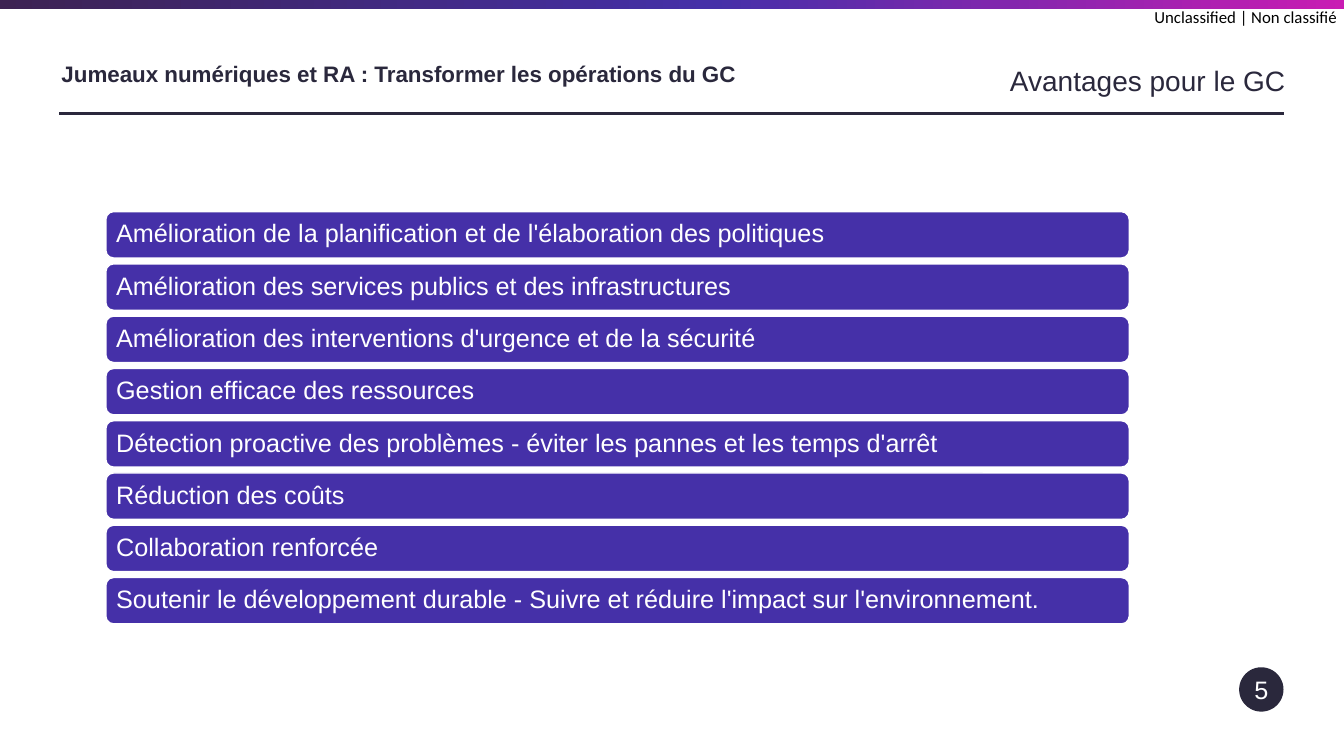
from copy import deepcopy

from lxml import etree
from pptx import Presentation
from pptx.dml.color import RGBColor
from pptx.enum import shapes, text
from pptx.oxml import ns
from pptx.util import Inches, Pt

INK = RGBColor(0x2A, 0x28, 0x3C)
INDIGO = RGBColor(0x45, 0x30, 0xA8)
PLUM = RGBColor(0x3D, 0x22, 0x52)
MAGENTA = RGBColor(0xC9, 0x1C, 0xB3)
WHITE = RGBColor(0xFF, 0xFF, 0xFF)
BLACK = RGBColor(0, 0, 0)

MARKING = "Unclassified | Non classifié"
TITLE = "Jumeaux numériques et RA : Transformer les opérations du GC"
SUBTITLE = "Avantages pour le GC"
PAGE_NUMBER = "5"
BENEFITS = [
    "Amélioration de la planification et de l'élaboration des politiques",
    "Amélioration des services publics et des infrastructures",
    "Amélioration des interventions d'urgence et de la sécurité",
    "Gestion efficace des ressources",
    "Détection proactive des problèmes - éviter les pannes et les temps d'arrêt",
    "Réduction des coûts",
    "Collaboration renforcée",
    "Soutenir le développement durable - Suivre et réduire l'impact sur l'environnement.",
]
BAND_STOPS = [(0, PLUM), (0.53, INDIGO), (1, MAGENTA)]
FIRST_BAR_TOP, LAST_BAR_TOP = 2.1, 5.73
BAR_PITCH = (LAST_BAR_TOP - FIRST_BAR_TOP) / (len(BENEFITS) - 1)


def write(shape, words, size, color, font="Arial", bold=False, spacing=1.0,
          align=text.PP_ALIGN.LEFT, anchor=text.MSO_ANCHOR.TOP, inset=0, wrap=True):
    frame = shape.text_frame
    frame.word_wrap = wrap
    frame.vertical_anchor = anchor
    frame.margin_left = frame.margin_right = Inches(inset)
    frame.margin_top = frame.margin_bottom = 0
    paragraph = frame.paragraphs[0]
    paragraph.alignment = align
    paragraph.line_spacing = spacing
    run = paragraph.add_run()
    run.text = words
    run.font.name = font
    run.font.size = Pt(size)
    run.font.bold = bold
    run.font.color.rgb = color


def add_box(slide, left, top, width, height):
    return slide.shapes.add_textbox(Inches(left), Inches(top), Inches(width), Inches(height))


def add_plain_shape(slide, kind, left, top, width, height, color=None):
    shape = slide.shapes.add_shape(
        kind, Inches(left), Inches(top), Inches(width), Inches(height))
    shape.shadow.inherit = False
    shape.line.fill.background()
    if color is not None:
        shape.fill.solid()
        shape.fill.fore_color.rgb = color
    return shape


def add_band(slide):
    band = add_plain_shape(slide, shapes.MSO_SHAPE.RECTANGLE, -0.01, 0, 13.35, 0.09)
    band.fill.gradient()
    band.fill.gradient_angle = 0
    stop_list = band.element.spPr.find(".//" + ns.qn("a:gsLst"))
    stop_list.append(deepcopy(stop_list[-1]))
    for stop, (position, color) in zip(band.fill.gradient_stops, BAND_STOPS):
        stop.position = position
        stop.color.rgb = color


def add_rule(slide):
    rule = slide.shapes.add_connector(
        shapes.MSO_CONNECTOR.STRAIGHT, Inches(0.59), Inches(1.13), Inches(12.74), Inches(1.13))
    rule.line.color.rgb = INK
    rule.line.width = Pt(2.25)
    etree.SubElement(rule.element.spPr, ns.qn("a:effectLst"))


def main():
    presentation = Presentation()
    presentation.slide_width = Inches(13.33)
    presentation.slide_height = Inches(7.5)
    slide = presentation.slides.add_slide(presentation.slide_layouts[6])

    add_band(slide)
    write(add_box(slide, 11.45, 0.07, 1.86, 0.2), MARKING, 12, BLACK, font="Calibri", wrap=False)
    add_rule(slide)
    write(add_box(slide, 0.61, 0.57, 8.64, 0.55), TITLE, 16, INK, bold=True, spacing=1.1)
    write(add_box(slide, 9.39, 0.56, 3.36, 0.57), SUBTITLE, 20, INK, spacing=1.2,
          align=text.PP_ALIGN.RIGHT)

    badge = add_plain_shape(slide, shapes.MSO_SHAPE.OVAL, 12.29, 6.62, 0.44, 0.44, INK)
    write(badge, PAGE_NUMBER, 18, WHITE, align=text.PP_ALIGN.CENTER,
          anchor=text.MSO_ANCHOR.MIDDLE)

    for index, benefit in enumerate(BENEFITS):
        bar = add_plain_shape(slide, shapes.MSO_SHAPE.ROUNDED_RECTANGLE, 1.05,
                              FIRST_BAR_TOP + index * BAR_PITCH, 10.15, 0.46, INDIGO)
        bar.line.color.rgb = WHITE
        bar.line.width = Pt(1)
        write(bar, benefit, 18, WHITE, spacing=0.9, anchor=text.MSO_ANCHOR.MIDDLE, inset=0.08)

    presentation.save("out.pptx")


if __name__ == "__main__":
    main()
